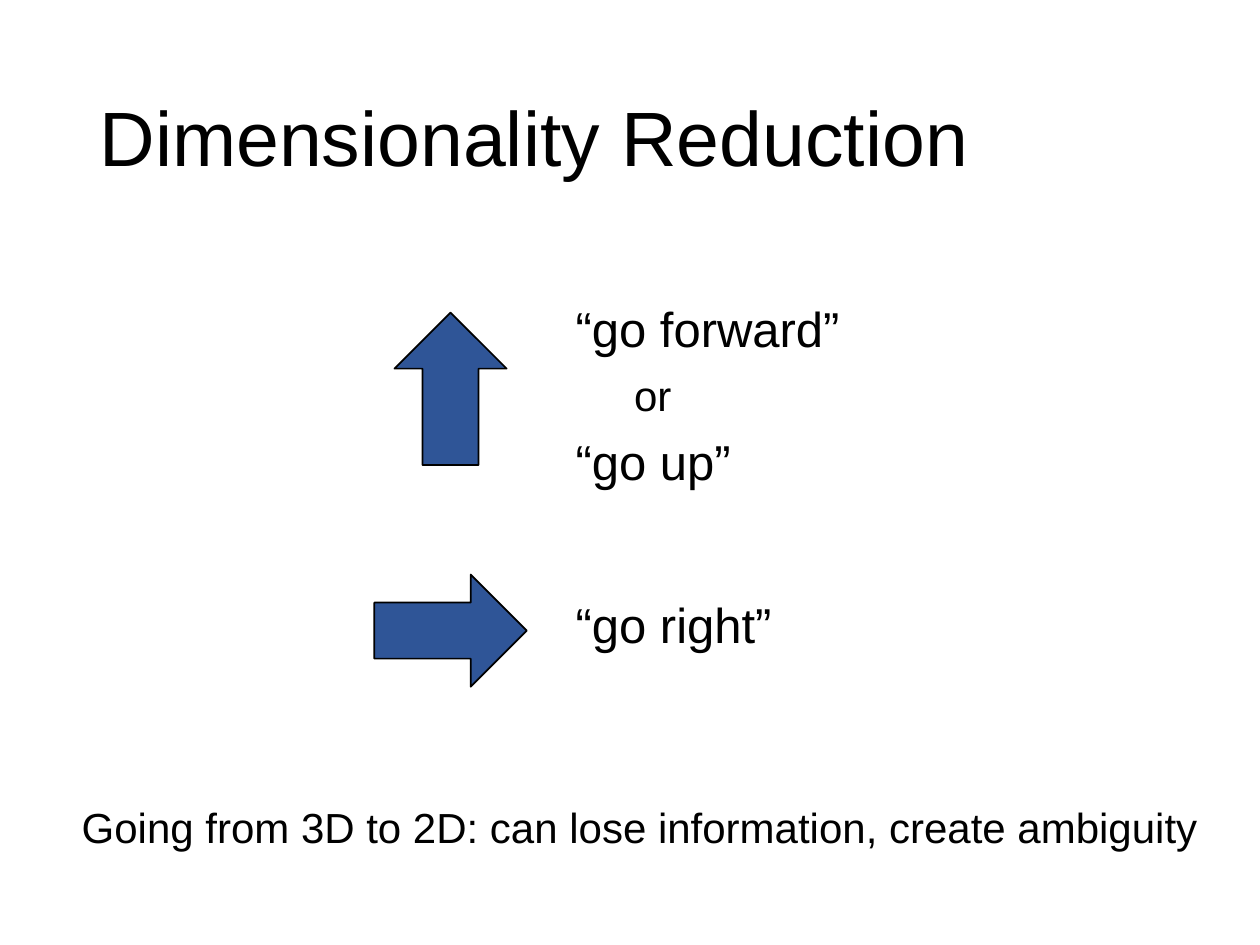
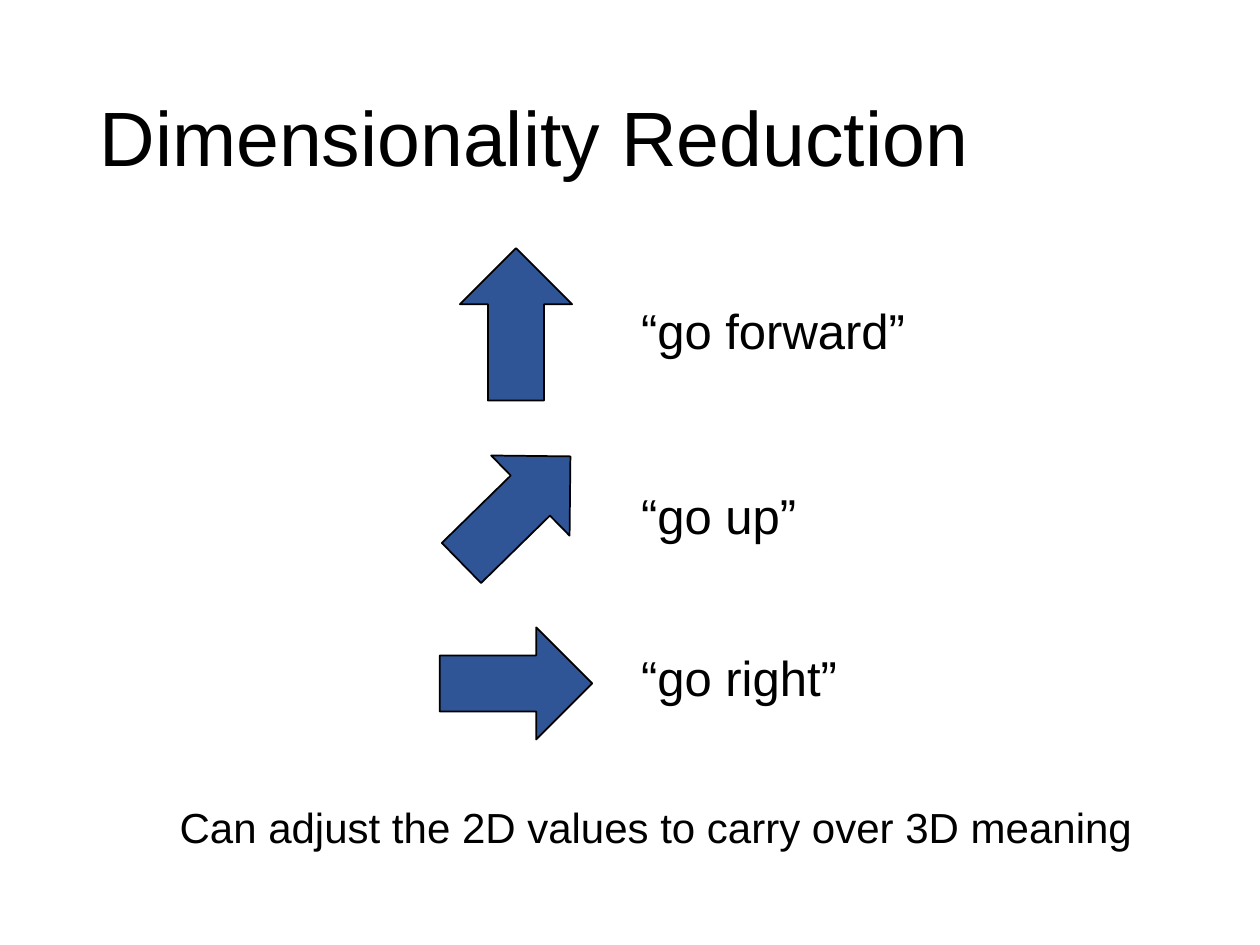
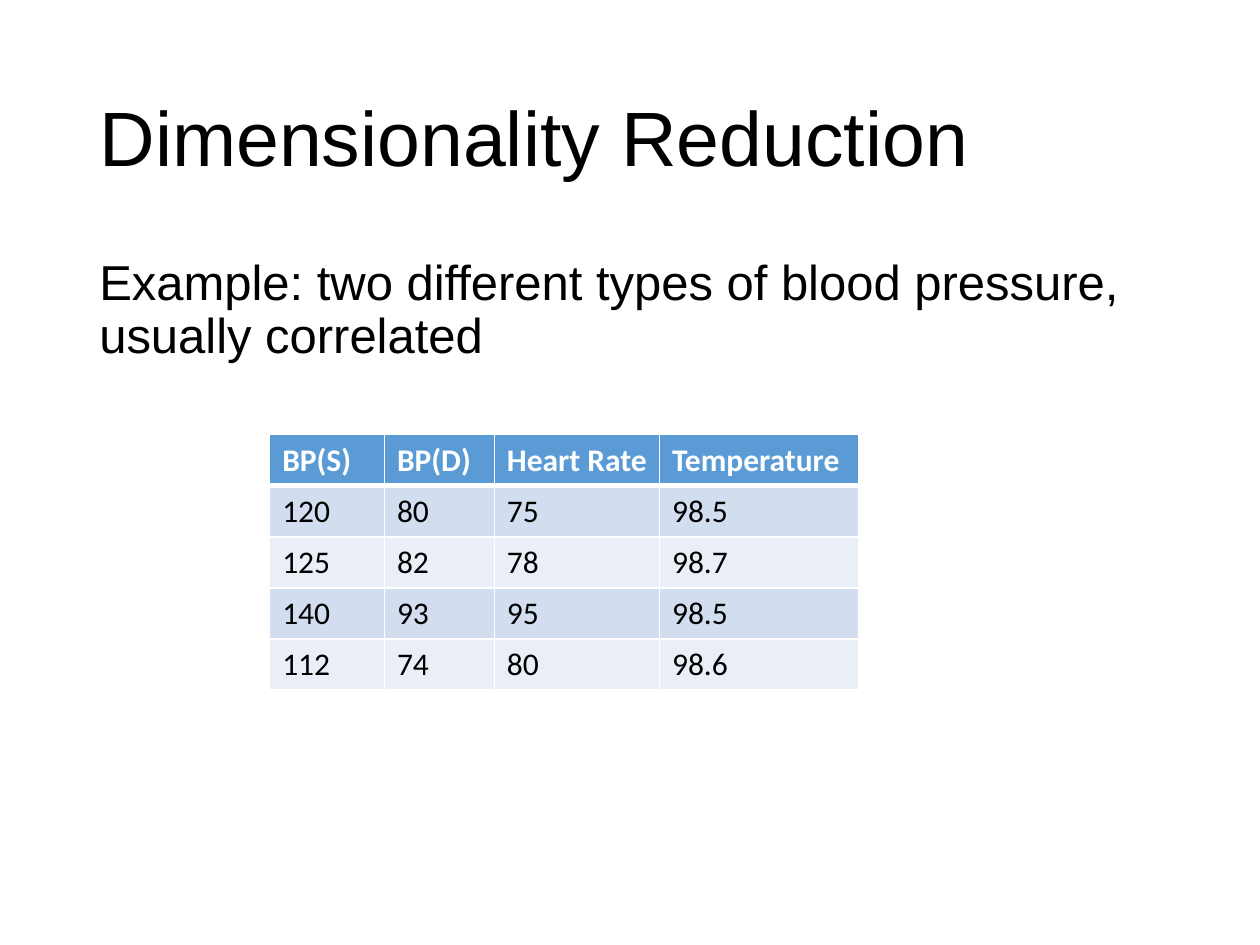
from dataclasses import dataclass
from lxml import etree
from pptx import Presentation
from pptx.dml.color import RGBColor
from pptx.enum.shapes import MSO_SHAPE
from pptx.enum.text import MSO_ANCHOR, MSO_AUTO_SIZE, PP_ALIGN
from pptx.oxml.ns import qn
from pptx.util import Pt

UP = MSO_SHAPE.UP_ARROW
LEFT, MID = PP_ALIGN.LEFT, PP_ALIGN.CENTER
CENTRE = MSO_ANCHOR.MIDDLE
FIXED, GROW = MSO_AUTO_SIZE.NONE, MSO_AUTO_SIZE.SHAPE_TO_FIT_TEXT


@dataclass(frozen=True)
class Theme:
    font: str = "Arial"
    grid_font: str = "Calibri"
    ink: str = "000000"
    paper: str = "FFFFFF"
    arrow: str = "2F5597"
    head: str = "5B9BD5"
    bands: tuple = ("D2DEEF", "EAEFF7")
    title: int = 44
    body: int = 28
    note: int = 24
    cell: int = 18


T = Theme()
TITLE_BOX = (49.7, 28.8, 620.6, 104.4)
NOTE_BOX = (39.6, 454.3, 670.3, 36)
ARROW = (64.1, 87.1)
LABEL_X, LABEL_W = 96.5, 172


def color(code):
    return RGBColor.from_string(code)


def place(shape, box):
    shape.left, shape.top, shape.width, shape.height = map(Pt, box)


def write(par, text, size=T.body, font=T.font, ink=T.ink, bold=False,
          align=LEFT, lead=0.9, before=0, indent=0):
    par.alignment = align
    par.line_spacing = lead
    par.space_before = Pt(before)
    if indent:
        par._p.get_or_add_pPr().set("marL", str(Pt(indent)))
    run = par.add_run()
    run.text = text
    run.font.size, run.font.name, run.font.bold = Pt(size), font, bold
    run.font.color.rgb = color(ink)


def add_text(slide, box, lines, fit=FIXED, **form):
    shape = slide.shapes.add_textbox(*map(Pt, box))
    frame = shape.text_frame
    frame.word_wrap = True
    frame.auto_size = fit
    for i, (text, extra) in enumerate(lines):
        par = frame.add_paragraph() if i else frame.paragraphs[0]
        write(par, text, **{**form, **extra})


def add_slide(deck):
    slide = deck.slides.add_slide(deck.slide_layouts[5])
    title = slide.shapes.title
    place(title, TITLE_BOX)
    frame = title.text_frame
    frame.auto_size = FIXED
    frame.vertical_anchor = CENTRE
    write(frame.paragraphs[0], "Dimensionality Reduction", size=T.title)
    return slide


def add_note(slide, text, align=LEFT):
    add_text(slide, NOTE_BOX, [(text, {})], GROW, size=T.note, align=align, lead=1)


def add_move(slide, left, top, turn, drop, height, *lines):
    shape = slide.shapes.add_shape(UP, *map(Pt, (left, top, *ARROW)))
    shape.shadow.inherit = False
    shape.rotation = turn
    shape.fill.solid()
    shape.fill.fore_color.rgb = color(T.arrow)
    shape.line.color.rgb = color(T.ink)
    shape.line.width = Pt(1)
    box = (left + LABEL_X, top + drop, LABEL_W, height)
    add_text(slide, box, lines, before=10)


def add_edges(cell, base):
    props = cell._tc.get_or_add_tcPr()
    for side, width in (("L", 1), ("R", 1), ("T", 1), ("B", base)):
        line = etree.SubElement(props, qn(f"a:ln{side}"), w=str(Pt(width)))
        fill = etree.SubElement(line, qn("a:solidFill"))
        etree.SubElement(fill, qn("a:srgbClr"), val=T.paper)


def add_grid(slide, left, top, widths, height, rows):
    box = (left, top, sum(widths), height * len(rows))
    grid = slide.shapes.add_table(len(rows), len(widths), *map(Pt, box)).table
    for col, width in zip(grid.columns, widths):
        col.width = Pt(width)
    for r, row in enumerate(rows):
        head = r == 0
        for c, text in enumerate(row):
            cell = grid.cell(r, c)
            add_edges(cell, 3 if head else 1)
            cell.fill.solid()
            cell.fill.fore_color.rgb = color(T.head if head else T.bands[(r - 1) % 2])
            write(cell.text_frame.paragraphs[0], text, size=T.cell, font=T.grid_font,
                  ink=T.paper if head else T.ink, bold=head, lead=1)


def loss_slide(deck):
    slide = add_slide(deck)
    left = 225.4
    add_move(slide, left, 178.6, 0, -8, 127.4, ("“go forward”", {}),
             ("or", {"size": T.note, "indent": 33.4}), ("“go up”", {}))
    add_move(slide, left, 316.8, 90, 23, 52.6, ("“go right”", {}))
    add_note(slide, "Going from 3D to 2D: can lose information, create ambiguity")


def carry_slide(deck):
    slide = add_slide(deck)
    moves = (("“go forward”", 141.8, 0, 30.2, 44.6),
             ("“go up”", 247.7, 45.6, 30.2, 44.6),
             ("“go right”", 347, 90, 23, 52.6))
    for text, top, turn, drop, height in moves:
        add_move(slide, 262.8, top, turn, drop, height, (text, {}))
    add_note(slide, "Can adjust the 2D values to carry over 3D meaning", MID)


def table_slide(deck):
    slide = add_slide(deck)
    text = "Example: two different types of blood pressure, usually correlated"
    add_text(slide, (49.7, 144, 643.7, 355), [(text, {})], before=10)
    add_grid(slide, 154.1, 248.4, (65.6, 62.8, 94.4, 113.9), 29.2, (
        ("BP(S)", "BP(D)", "Heart Rate", "Temperature"),
        ("120", "80", "75", "98.5"),
        ("125", "82", "78", "98.7"),
        ("140", "93", "95", "98.5"),
        ("112", "74", "80", "98.6"),
    ))


def main():
    deck = Presentation()
    deck.slide_width, deck.slide_height = Pt(720), Pt(540)
    for build in (loss_slide, carry_slide, table_slide):
        build(deck)
    deck.save("out.pptx")


if __name__ == "__main__":
    main()
